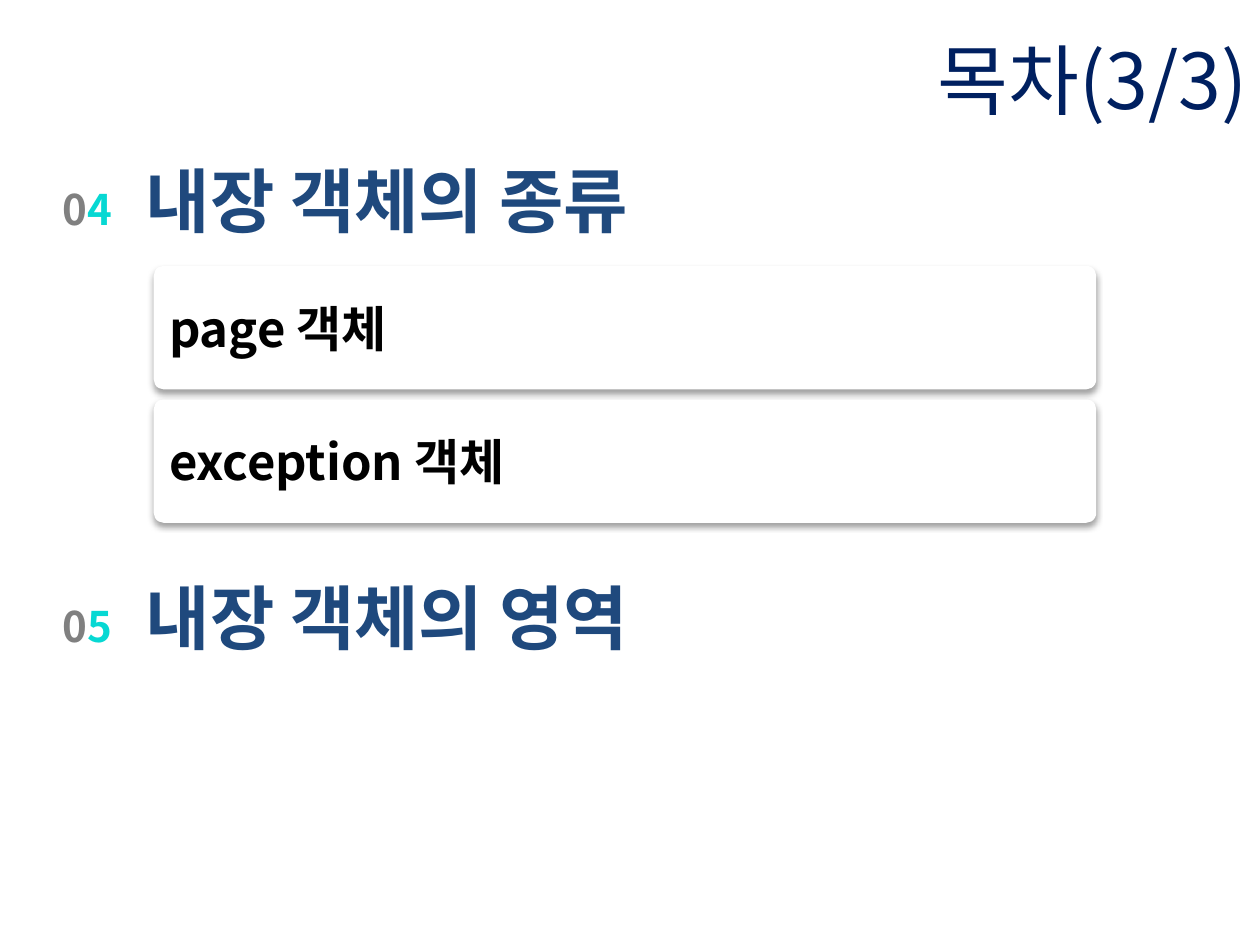
from dataclasses import dataclass

import lxml.etree
import pptx
import pptx.dml.color
import pptx.enum.shapes
import pptx.enum.text
import pptx.oxml.ns
import pptx.util
from pptx.util import Cm, Pt

FONT = "Noto Sans CJK KR"
NAVY, BLUE, GREY, TURQUOISE = "002060", "1F497D", "808080", "07D8D3"
BLACK, WHITE = "000000", "FFFFFF"
ALIGN = pptx.enum.text.PP_ALIGN
ANCHOR = pptx.enum.text.MSO_ANCHOR
AUTO_SIZE = pptx.enum.text.MSO_AUTO_SIZE
qn = pptx.oxml.ns.qn


@dataclass
class Section:
    digit: str
    heading: str
    top: float
    topics: tuple[str, ...] = ()


SECTIONS = (
    Section("4", "내장 객체의 종류", 3.12, ("page 객체", "exception 객체")),
    Section("5", "내장 객체의 영역", 11.53),
)


def rgb(value: str) -> pptx.dml.color.RGBColor:
    return pptx.dml.color.RGBColor.from_string(value)


def add_span(para, text: str, size: float, color: str, bold: bool = True) -> None:
    span = para.add_run()
    span.text = text
    span.font.size = Pt(size)
    span.font.bold = bold
    span.font.color.rgb = rgb(color)
    span.font.name = FONT
    properties = span.font._element
    lxml.etree.SubElement(properties, qn("a:ea")).set("typeface", FONT)


def add_soft_shadow(shape) -> None:
    shape.shadow.inherit = False
    effects = shape._element.spPr.find(qn("a:effectLst"))
    shadow = lxml.etree.SubElement(effects, qn("a:outerShdw"))
    shadow.set("blurRad", str(Pt(3.5)))
    shadow.set("dist", str(Pt(2.2)))
    shadow.set("dir", "5400000")
    shadow.set("rotWithShape", "0")
    color = lxml.etree.SubElement(shadow, qn("a:srgbClr"))
    color.set("val", BLACK)
    lxml.etree.SubElement(color, qn("a:alpha")).set("val", "36000")


def add_title(page, text: str) -> None:
    title = page.shapes.title
    title.left, title.top, title.width, title.height = Cm(0), Cm(0), Cm(25.4), Cm(3.18)
    title.text_frame.vertical_anchor = ANCHOR.MIDDLE
    para = title.text_frame.paragraphs[0]
    para.alignment = ALIGN.RIGHT
    add_span(para, text, 44, NAVY, bold=False)


def add_number(page, digit: str, top: float) -> None:
    box = page.shapes.add_textbox(Cm(0.86), Cm(top), Cm(1.8), Cm(1.27))
    box.text_frame.word_wrap = True
    box.text_frame.auto_size = AUTO_SIZE.SHAPE_TO_FIT_TEXT
    para = box.text_frame.paragraphs[0]
    para.alignment = ALIGN.CENTER
    add_span(para, "0", 24, GREY)
    add_span(para, digit, 24, TURQUOISE)


def add_heading(page, text: str, top: float) -> None:
    box = page.shapes.add_textbox(Cm(2.69), Cm(top), Cm(11.51), Cm(1.9))
    box.text_frame.word_wrap = False
    box.text_frame.auto_size = AUTO_SIZE.SHAPE_TO_FIT_TEXT
    para = box.text_frame.paragraphs[0]
    para.line_spacing = Pt(46)
    indent = Cm(1.42)
    properties = para._p.get_or_add_pPr()
    properties.set("marL", str(indent))
    properties.set("indent", str(-indent))
    add_span(para, text, 40, BLUE)


def add_topic(page, text: str, top: float) -> None:
    card = page.shapes.add_shape(
        pptx.enum.shapes.MSO_SHAPE.ROUNDED_RECTANGLE, Cm(3.1), Cm(top), Cm(19), Cm(2.49)
    )
    card.adjustments[0] = 0.08
    card.fill.solid()
    card.fill.fore_color.rgb = rgb(WHITE)
    card.line.fill.background()
    add_soft_shadow(card)
    card.text_frame.word_wrap = True
    card.text_frame.vertical_anchor = ANCHOR.MIDDLE
    para = card.text_frame.paragraphs[0]
    para.alignment = ALIGN.JUSTIFY
    add_span(para, text, 28, BLACK)


def add_section(page, section: Section) -> None:
    first_topic, pitch = section.top + 2.24, 2.69
    # The lowest card goes to the back, so no shadow falls on the card below it.
    for row, topic in reversed(list(enumerate(section.topics))):
        add_topic(page, topic, first_topic + row * pitch)
    add_heading(page, section.heading, section.top)
    add_number(page, section.digit, section.top + 0.46)


def main() -> None:
    deck = pptx.Presentation()
    deck.slide_width, deck.slide_height = Cm(25.4), Cm(19.05)
    page = deck.slides.add_slide(deck.slide_layouts.get_by_name("Title Only"))
    add_title(page, "목차(3/3)")
    for section in SECTIONS:
        add_section(page, section)
    deck.save("out.pptx")


if __name__ == "__main__":
    main()
